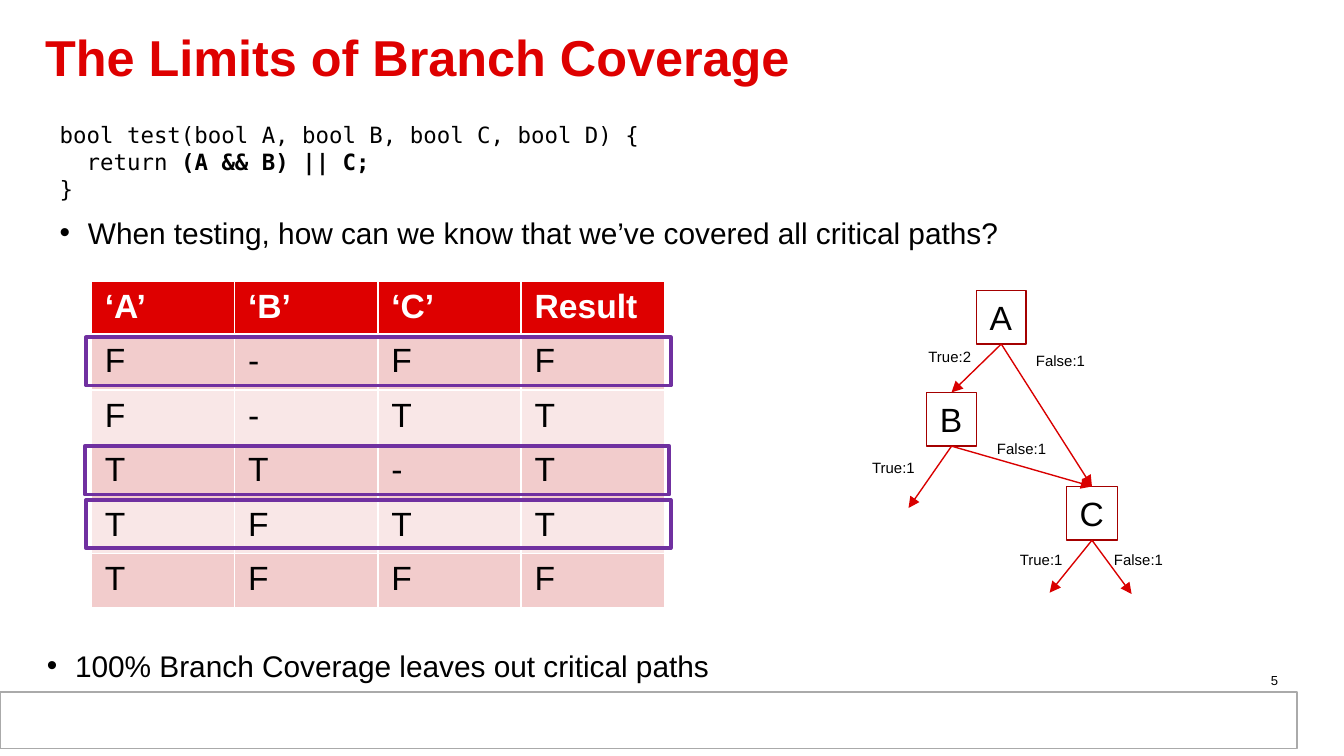
from lxml import etree
from pptx import Presentation
from pptx.dml.color import RGBColor
from pptx.enum.shapes import MSO_CONNECTOR as Connector, MSO_SHAPE as Preset
from pptx.enum.text import MSO_ANCHOR as Anchor, MSO_AUTO_SIZE as AutoSize, PP_ALIGN as Align
from pptx.oxml import parse_xml
from pptx.oxml.ns import nsdecls, qn
from pptx.util import Inches, Pt

COLORS = {name: RGBColor.from_string(value) for name, value in {
    "red": "DE0000", "arrow": "D90000", "node": "A40000", "mark": "7030A0",
    "dark row": "F2CCCC", "light row": "F9E7E7", "footer": "AAAAAA",
    "white": "FFFFFF", "black": "000000"}.items()}
SANS, MONO = "Arial", "DejaVu Sans Mono"

# A 16:9 slide
presentation = Presentation()
presentation.slide_width = Inches(10)
presentation.slide_height = presentation.slide_width * 9 // 16
slide = presentation.slides.add_slide(presentation.slide_layouts[6])
shapes = slide.shapes
# The grid has 100 columns across the slide, and rows of the same size
UNIT = presentation.slide_width / 100


def add_box(column, row, columns, rows, fill=None, line=None, weight=0.75, tight=False):
    """Rectangle on the grid; without fill and line it is a plain text box."""
    place = [round(value * UNIT) for value in (column, row, columns, rows)]
    if fill or line:
        shape = shapes.add_shape(Preset.RECTANGLE, *place)
        shape.shadow.inherit = False
        shape.fill.background()
        shape.line.fill.background()
        if fill:
            shape.fill.solid()
            shape.fill.fore_color.rgb = COLORS[fill]
        if line:
            shape.line.color.rgb = COLORS[line]
            shape.line.width = Pt(weight)
    else:
        shape = shapes.add_textbox(*place)
    frame = shape.text_frame
    frame.word_wrap = True
    frame.vertical_anchor = Anchor.TOP
    if tight:
        frame.margin_left = frame.margin_right = Inches(0.08)
        frame.margin_top = frame.margin_bottom = Inches(0.04)
    return shape


def add_text(paragraph, text, size, font=SANS, color="black", bold=False, bullet=False):
    """One run, with an optional hanging bullet for its paragraph."""
    run = paragraph.add_run()
    run.text = text
    run.font.size, run.font.name, run.font.bold = Pt(size), font, bold
    run.font.color.rgb = COLORS[color]
    if bullet:
        properties = paragraph._p.get_or_add_pPr()
        properties.set("marL", str(Inches(0.21)))
        properties.set("indent", str(-Inches(0.21)))
        etree.SubElement(properties, qn("a:buFont"), typeface=SANS)
        etree.SubElement(properties, qn("a:buChar"), char="•")


# Footer band
add_box(0.5, 51.9, 95.6, 3.8, fill="white")
add_box(0, 51.5, 96.5, 4.2, fill="white", line="footer")

# Title
title = add_box(2.55, 1.2, 92.5, 6.7, tight=True).text_frame
title.vertical_anchor = Anchor.MIDDLE
title.paragraphs[0].line_spacing = 0.85
add_text(title.paragraphs[0], "The Limits of Branch Coverage", 27, color="red", bold=True)

# Code and question
body = add_box(3.65, 8.62, 82.6, 12.7, tight=True).text_frame
add_text(body.paragraphs[0], "bool test(bool A, bool B, bool C, bool D) {", 12, MONO)
return_line = body.add_paragraph()
add_text(return_line, "  return ", 12, MONO)
add_text(return_line, "(A && B) || C;", 12, MONO, bold=True)
add_text(body.add_paragraph(), "}", 12, MONO)
question = body.add_paragraph()
question.space_before = Pt(6.7)
add_text(question, "When testing, how can we know that we’ve covered all critical paths?", 16, bullet=True)

# Slide number
number = add_box(72.6, 49.65, 23.3, 1.7, tight=True).text_frame.paragraphs[0]
number.alignment = Align.RIGHT
add_text(number, "5", 7)

# Truth table
ROWS = [("‘A’", "‘B’", "‘C’", "Result"), "F-FF", "F-TT", "TT-T", "TFTT", "TFFF"]
table_frame = shapes.add_table(len(ROWS), 4, *[round(v * UNIT) for v in (6.8, 20.93, 42.66, 24.33)])
table = table_frame.table
for row, values in enumerate(ROWS):
    header = row == 0
    fill = "red" if header else ("dark row" if row % 2 else "light row")
    for column, value in enumerate(values):
        cell = table.cell(row, column)
        cell.fill.solid()
        cell.fill.fore_color.rgb = COLORS[fill]
        add_text(cell.text_frame.paragraphs[0], value, 18,
                 color="white" if header else "black", bold=header)
        borders = {"L": 1, "R": 1, "T": 3 if row == 1 else 1, "B": 3 if header else 1}
        for index, (side, weight) in enumerate(borders.items()):
            cell._tc.get_or_add_tcPr().insert(index, parse_xml(
                f'<a:ln{side} {nsdecls("a")} w="{Pt(weight)}"><a:solidFill>'
                f'<a:srgbClr val="{COLORS["white"]}"/></a:solidFill></a:ln{side}>'))

# Branch labels
for text, column, row, columns in [
        ("True:2", 68.1, 25.4, 5.3), ("True:1", 63.9, 33.6, 5.8), ("True:1", 74.9, 40.5, 5.3),
        ("False:1", 76.1, 25.7, 5.7), ("False:1", 73.2, 32.2, 5.7), ("False:1", 81.9, 40.5, 5.7)]:
    label = add_box(column, row, columns, 2.4).text_frame
    label.word_wrap = columns == 5.8
    label.auto_size = AutoSize.SHAPE_TO_FIT_TEXT
    add_text(label.paragraphs[0], text, 8)

# Decision nodes
nodes = {}
for name, column, row, columns in [("B", 68.95, 29.2, 3.7), ("A", 72.65, 21.6, 3.7), ("C", 79.35, 36.2, 3.8)]:
    nodes[name] = add_box(column, row, columns, 4, line="node")
    frame = nodes[name].text_frame
    frame.word_wrap = False
    frame.auto_size = AutoSize.SHAPE_TO_FIT_TEXT
    frame.paragraphs[0].alignment = Align.LEFT
    add_text(frame.paragraphs[0], name, 18)

# Branch arrows: to another node, or to a free point on the grid
for start, end in [("A", "B"), ("B", "C"), ("A", "C"),
                   ("C", (78.1, 44.1)), ("C", (84.2, 44.2)), ("B", (67.6, 37.8))]:
    free_end = (0, 0) if end in nodes else [round(value * UNIT) for value in end]
    arrow = shapes.add_connector(Connector.STRAIGHT, 0, 0, *free_end)
    arrow.begin_connect(nodes[start], 2)
    if end in nodes:
        arrow.end_connect(nodes[end], 0)
    arrow.line.color.rgb = COLORS["arrow"]
    arrow.line.width = Pt(0.75)
    etree.SubElement(arrow.line._get_or_add_ln(), qn("a:tailEnd"), type="triangle")
    etree.SubElement(arrow._element.spPr, qn("a:effectLst"))

# Marks around the tested rows
for column, row in [(6.4, 25.1), (6.4, 37.2), (6.3, 33.2)]:
    add_box(column, row, 43.5, 3.6, line="mark", weight=2)

# Conclusion
conclusion = add_box(2.5, 47.7, 51.9, 3.7).text_frame
conclusion.word_wrap = False
conclusion.auto_size = AutoSize.SHAPE_TO_FIT_TEXT
add_text(conclusion.paragraphs[0], "100% Branch Coverage leaves out critical paths", 16, bullet=True)

presentation.save("out.pptx")
